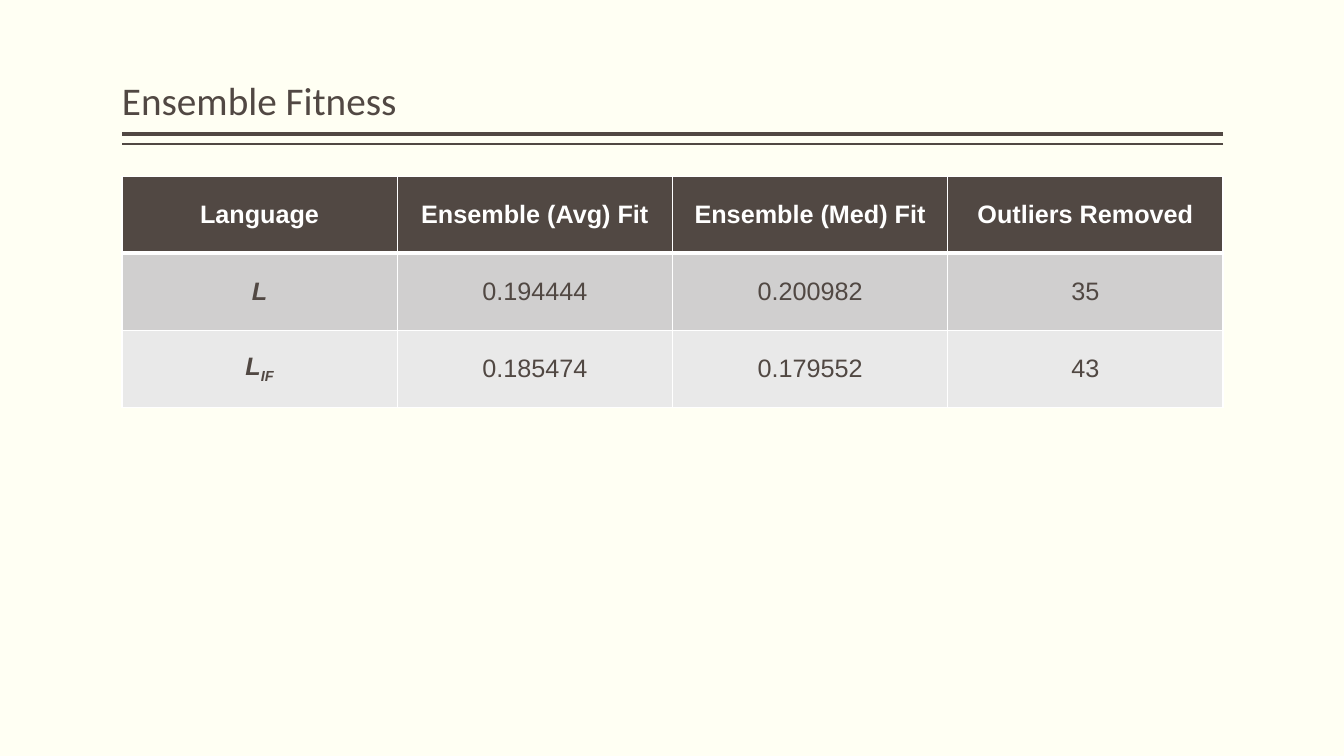
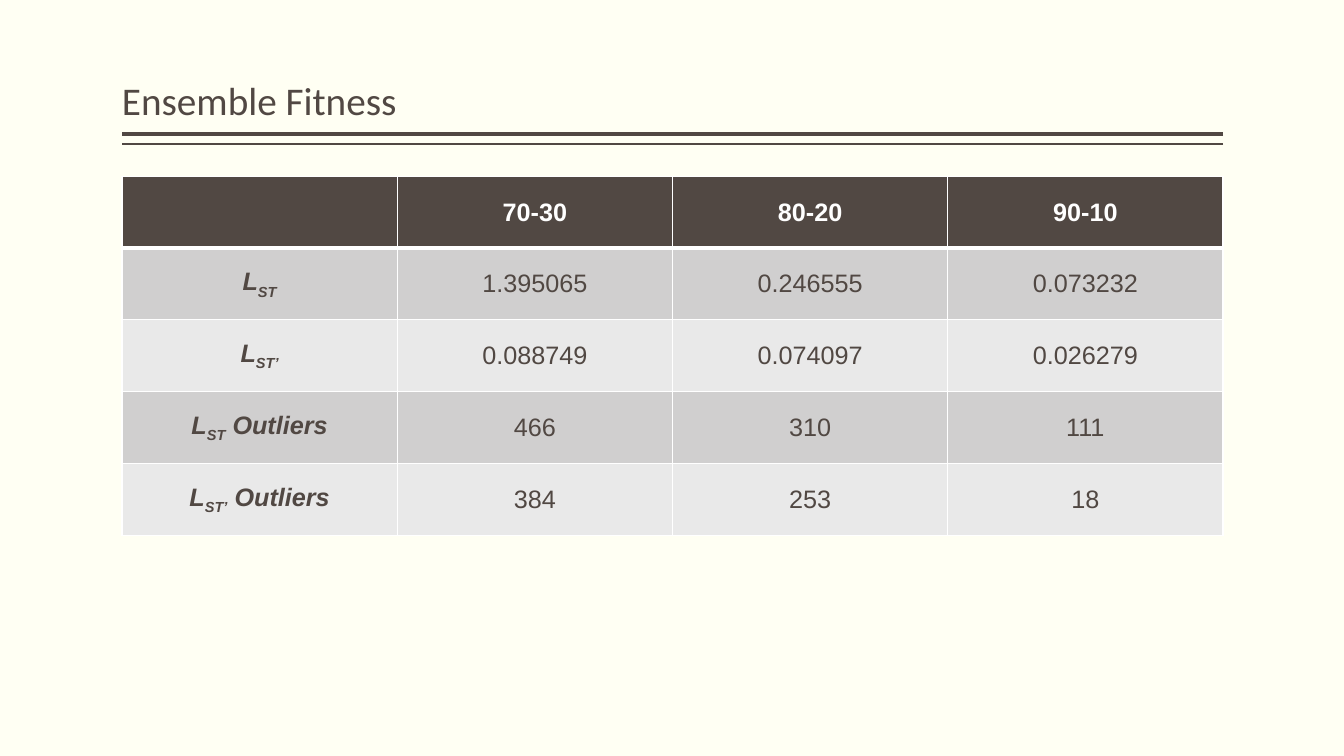
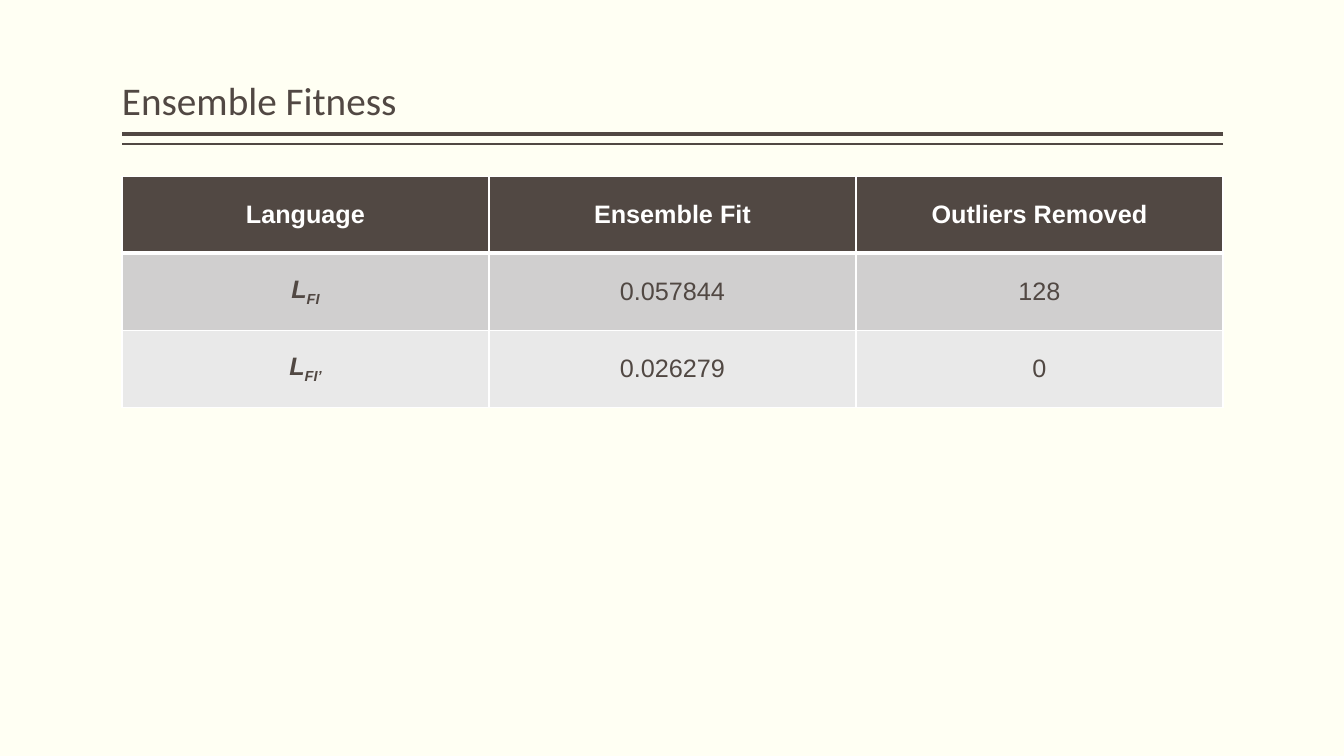
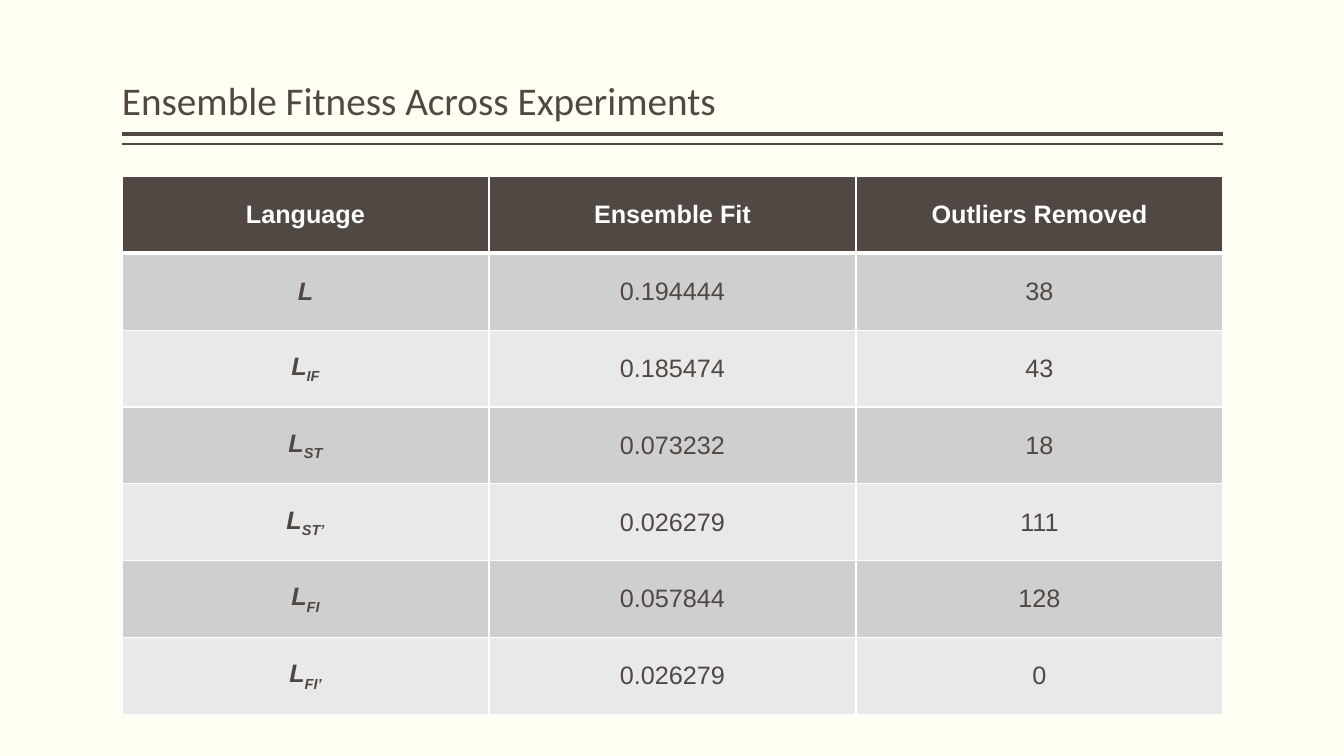
from collections import namedtuple
from dataclasses import dataclass

from lxml import etree
from pptx import Presentation
from pptx import util as u
from pptx.dml.color import RGBColor
from pptx.enum import shapes, text
from pptx.oxml import ns

Box = namedtuple("Box", "left top width height")


@dataclass(frozen=True)
class Theme:
    """Colours, fonts and type sizes shared by all slides."""
    paper: str = "FFFFF3"
    ink: str = "514843"
    white: str = "FFFFFF"
    bands: tuple = ("D0CFCF", "E9E9E9")
    title_font: str = "Calibri"
    body_font: str = "Arial"
    title_size: int = 28
    body_size: int = 18
    thin: int = 1
    thick: int = 3


THEME = Theme()
WIDTH, HEIGHT = 13.33, 7.5
MARGIN = 1.21
CONTENT = 10.92
TITLE_BOX = Box(MARGIN, 0.08, CONTENT, 1.2)
RULES_BOX = Box(MARGIN, 1.33, CONTENT, 0.1)
TABLE_TOP = 1.75

SLIDES = [
    ("Ensemble Fitness", 2.29, [
        ("Language", "Ensemble (Avg) Fit", "Ensemble (Med) Fit", "Outliers Removed"),
        ("L", "0.194444", "0.200982", "35"),
        ("L|IF", "0.185474", "0.179552", "43"),
    ]),
    ("Ensemble Fitness", 3.56, [
        ("", "70-30", "80-20", "90-10"),
        ("L|ST", "1.395065", "0.246555", "0.073232"),
        ("L|ST’", "0.088749", "0.074097", "0.026279"),
        ("L|ST| Outliers", "466", "310", "111"),
        ("L|ST’| Outliers", "384", "253", "18"),
    ]),
    ("Ensemble Fitness", 2.29, [
        ("Language", "Ensemble Fit", "Outliers Removed"),
        ("L|FI", "0.057844", "128"),
        ("L|FI’", "0.026279", "0"),
    ]),
    ("Ensemble Fitness Across Experiments", 5.34, [
        ("Language", "Ensemble Fit", "Outliers Removed"),
        ("L", "0.194444", "38"),
        ("L|IF", "0.185474", "43"),
        ("L|ST", "0.073232", "18"),
        ("L|ST’", "0.026279", "111"),
        ("L|FI", "0.057844", "128"),
        ("L|FI’", "0.026279", "0"),
    ]),
]


def rgb(value):
    """Return a colour from its hex form."""
    return RGBColor.from_string(value)


def inches(box):
    """Return the four lengths of a box as inches."""
    return [u.Inches(v) for v in box]


def style_font(font, name, size, color, bold=False, italic=False):
    """Set the look of a font."""
    font.name, font.size = name, u.Pt(size)
    font.bold, font.italic = bold, italic
    font.color.rgb = rgb(color)


def add_title(s, box, title):
    """Place the slide title at the bottom of its box."""
    tf = s.shapes.add_textbox(*inches(box)).text_frame
    tf.word_wrap = True
    tf.vertical_anchor = text.MSO_ANCHOR.BOTTOM
    tf.margin_left = tf.margin_right = 0
    p = tf.paragraphs[0]
    p.text = title
    p.line_spacing = 0.9
    style_font(p.font, THEME.title_font, THEME.title_size, THEME.ink)


def add_rules(s, box):
    """Draw a thick rule at the top of the box and a thin one at its bottom."""
    for y, weight in ((box.top, THEME.thick), (box.top + box.height, THEME.thin)):
        line = s.shapes.add_connector(
            shapes.MSO_CONNECTOR.STRAIGHT,
            *inches((box.left + box.width, y, box.left, y)))
        line.line.color.rgb = rgb(THEME.ink)
        line.line.width = u.Pt(weight)
        etree.SubElement(line._element.spPr, ns.qn("a:effectLst"))


def set_borders(cell, top, bottom):
    """Give a cell white borders with the given top and bottom weights."""
    tcPr = cell._tc.get_or_add_tcPr()
    weights = {"lnL": THEME.thin, "lnR": THEME.thin, "lnT": top, "lnB": bottom}
    for side, weight in weights.items():
        ln = etree.SubElement(tcPr, ns.qn(f"a:{side}"), w=str(u.Pt(weight)))
        fill = etree.SubElement(ln, ns.qn("a:solidFill"))
        etree.SubElement(fill, ns.qn("a:srgbClr"), val=THEME.white)


def fill_cell(cell, label, row, col):
    """Write a label, with its second part as subscript, and style the cell."""
    header = row == 0
    set_borders(cell, THEME.thick if row == 1 else THEME.thin,
                THEME.thick if header else THEME.thin)
    cell.fill.solid()
    cell.fill.fore_color.rgb = rgb(THEME.ink if header else THEME.bands[(row - 1) % 2])
    cell.vertical_anchor = text.MSO_ANCHOR.MIDDLE
    p = cell.text_frame.paragraphs[0]
    p.alignment = text.PP_ALIGN.CENTER
    for i, part in enumerate(label.split("|") if label else ()):
        r = p.add_run()
        r.text = part
        style_font(r.font, THEME.body_font, THEME.body_size,
                   THEME.white if header else THEME.ink,
                   bold=header or col == 0, italic=not header and col == 0)
        if i == 1:
            r._r.get_or_add_rPr().set("baseline", "-25000")


def add_fitness_table(s, box, rows):
    """Place a table with equal rows and columns in the box."""
    table = s.shapes.add_table(len(rows), len(rows[0]), *inches(box)).table
    table.horz_banding = False
    for row, labels in enumerate(rows):
        for col, label in enumerate(labels):
            fill_cell(table.cell(row, col), label, row, col)


def add_fitness_slide(prs, title, height, rows):
    """Add a slide with a title, two rules and a table."""
    s = prs.slides.add_slide(prs.slide_layouts[6])
    add_rules(s, RULES_BOX)
    add_title(s, TITLE_BOX, title)
    add_fitness_table(s, Box(MARGIN, TABLE_TOP, CONTENT, height), rows)


def main():
    """Build and save the presentation."""
    prs = Presentation()
    prs.slide_width, prs.slide_height = u.Inches(WIDTH), u.Inches(HEIGHT)
    paper = prs.slide_master.background.fill
    paper.solid()
    paper.fore_color.rgb = rgb(THEME.paper)
    for title, height, rows in SLIDES:
        add_fitness_slide(prs, title, height, rows)
    prs.save("out.pptx")


if __name__ == "__main__":
    main()
